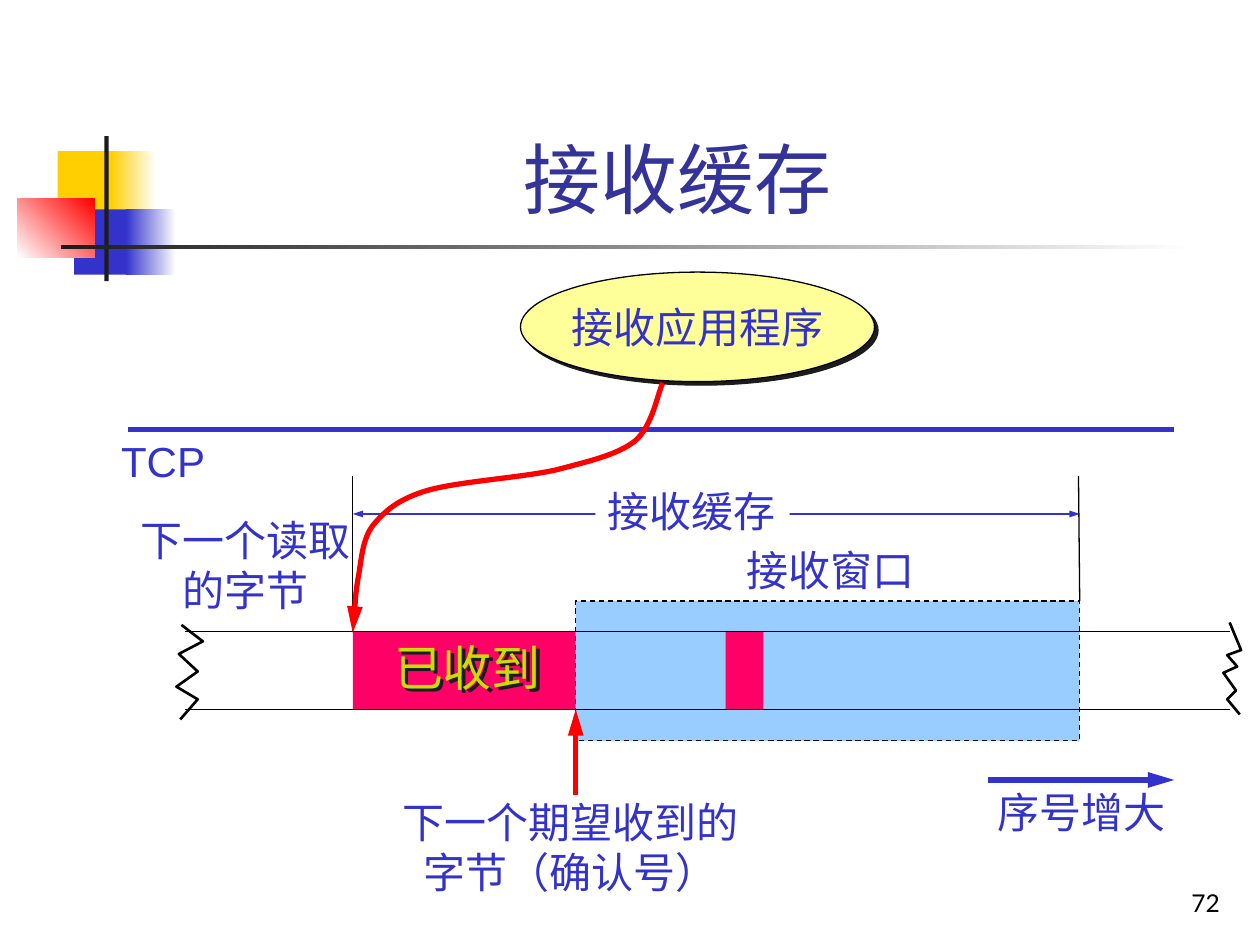
from collections import namedtuple

from lxml import etree
from pptx import Presentation
from pptx.dml.color import RGBColor
from pptx.enum.dml import MSO_LINE
from pptx.enum.shapes import MSO_CONNECTOR, MSO_SHAPE
from pptx.enum.text import MSO_ANCHOR, MSO_AUTO_SIZE, PP_ALIGN
from pptx.oxml.ns import qn
from pptx.util import Pt

RECTANGLE, OVAL = MSO_SHAPE.RECTANGLE, MSO_SHAPE.OVAL
STRAIGHT, DASH = MSO_CONNECTOR.STRAIGHT, MSO_LINE.DASH
LEFT, CENTER, RIGHT = PP_ALIGN.LEFT, PP_ALIGN.CENTER, PP_ALIGN.RIGHT
MIDDLE, BOTTOM = MSO_ANCHOR.MIDDLE, MSO_ANCHOR.BOTTOM
GROW = MSO_AUTO_SIZE.SHAPE_TO_FIT_TEXT

WHITE = RGBColor(0xFF, 0xFF, 0xFF)
BLACK = RGBColor(0, 0, 0)
DARK = RGBColor(0x1C, 0x1C, 0x1C)
BLUE = RGBColor(0x33, 0x33, 0xCC)
TITLE_BLUE = RGBColor(0x33, 0x33, 0x99)
LIGHT_BLUE = RGBColor(0x99, 0xCC, 0xFF)
GOLD = RGBColor(0xFF, 0xCF, 0x01)
PALE_YELLOW = RGBColor(0xFF, 0xFF, 0x99)
LIME = RGBColor(0xC9, 0xDE, 0x06)
RED = RGBColor(0xFF, 0, 0)
PINK = RGBColor(0xFF, 0, 0x66)

Box = namedtuple("Box", "left top width height")


def place(shape, box):
    shape.left, shape.top, shape.width, shape.height = (Pt(length) for length in box)


def write_text(shape, text, color, size=24, align=CENTER, anchor=None, font="Arial", wrap=False):
    frame = shape.text_frame
    frame.text = text
    frame.word_wrap = wrap
    if anchor is not None:
        frame.vertical_anchor = anchor
    for paragraph in frame.paragraphs:
        paragraph.alignment = align
        for run in paragraph.runs:
            run.font.size, run.font.name = Pt(size), font
            run.font.color.rgb = color


def add_label(slide, box, text, color=BLUE, **style):
    label = slide.shapes.add_textbox(*(Pt(length) for length in box))
    write_text(label, text, color, **style)
    if not label.text_frame.word_wrap:
        label.text_frame.auto_size = GROW
    return label


def add_block(slide, box, fill, outline=None, kind=RECTANGLE):
    block = slide.shapes.add_shape(kind, *(Pt(length) for length in box))
    block.shadow.inherit = False
    block.fill.solid()
    block.fill.fore_color.rgb = fill
    if outline is None:
        block.line.fill.background()
    else:
        block.line.color.rgb, block.line.width = outline, Pt(0.75)
    return block


def add_gradient(slide, box, start, end, angle=0):
    fill = add_block(slide, box, start).fill
    fill.gradient()
    fill.gradient_angle = angle
    for stop, position, color in zip(fill.gradient_stops, (0, 1), (start, end)):
        stop.position, stop.color.rgb = position, color


def style_line(shape, color, width, ends=()):
    shape.line.color.rgb, shape.line.width = color, Pt(width)
    shape_of_end = {"len": "lg"} if width > 1 else {"w": "sm"}
    for end in ends:
        etree.SubElement(shape.line._get_or_add_ln(), qn("a:" + end), type="triangle", **shape_of_end)


def add_line(slide, start, end, color=BLACK, width=0.75, ends=()):
    line = slide.shapes.add_connector(STRAIGHT, *(Pt(length) for length in start + end))
    style_line(line, color, width, ends)
    etree.SubElement(line._element.spPr, qn("a:effectLst"))


def add_path(slide, box, points, color, width, ends=(), curved=False):
    """Points are offsets from the box; a curve takes them as Bezier points."""
    places = [(Pt(box.left + x), Pt(box.top + y)) for x, y in points]
    builder = slide.shapes.build_freeform(*places[0])
    builder.add_line_segments(places[1:], close=False)
    path = builder.convert_to_shape()
    path.shadow.inherit = False
    path.fill.background()
    style_line(path, color, width, ends)
    if curved:
        segments = list(path._element.iter(qn("a:lnTo")))
        for first in range(0, len(segments), 3):
            curve = etree.SubElement(segments[first].getparent(), qn("a:cubicBezTo"))
            for segment in segments[first:first + 3]:
                curve.append(segment[0])
                segment.getparent().remove(segment)


def add_shadow(shape, distance=2.8):
    shape.shadow.inherit = False
    effects = shape._element.spPr.find(qn("a:effectLst"))
    shadow = etree.SubElement(effects, qn("a:outerShdw"), dist=str(Pt(distance)),
                              dir="2700000", algn="ctr", rotWithShape="0")
    etree.SubElement(shadow, qn("a:srgbClr"), val=str(DARK))


def draw_ornament(slide, box):
    left, top = box.left, box.top
    # Overlapping squares, the upper two fading to the right
    for x, y, solid, fade_x, fade, color in ((23.2, 8.6, 34.6, 53.3, 26, GOLD),
                                             (32.6, 41.8, 33, 62, 28.8, BLUE)):
        add_block(slide, Box(left + x, top + y, solid, 37.4), color)
        add_gradient(slide, Box(left + fade_x, top + y, fade, 37.4), color, WHITE)
    add_gradient(slide, Box(left, top + 35.8, 44.2, 33.5), WHITE, RED, angle=45)
    # Crossing bars
    add_block(slide, Box(left + 49.8, top, 2.5, box.height), DARK)
    add_gradient(slide, Box(left + 25, top + 62, box.width - 25, 2.5), DARK, WHITE)


def draw_title(slide, box, text):
    title = slide.shapes.title
    place(title, box)
    write_text(title, text, TITLE_BLUE, size=44, anchor=BOTTOM, wrap=True)


def draw_application(slide, box):
    application = add_block(slide, box, PALE_YELLOW, BLACK, OVAL)
    add_shadow(application)
    write_text(application, "接收应用程序", BLUE, anchor=MIDDLE)


def draw_layer_boundary(slide, box):
    add_line(slide, (box.left, box.top), (box.left + box.width, box.top), BLUE, 3)
    add_label(slide, Box(box.left - 11.5, box.top, 62.6, box.height), "TCP")


def draw_buffer(slide, box, expected):
    """The box is the buffer; expected is the offset of the next expected byte."""
    left, top, width, height = box
    right, bottom = left + width, top + height
    # Receive window
    window = add_block(slide, Box(left + expected, top - 17.3, width - expected, 80), LIGHT_BLUE, BLACK)
    window.line.dash_style = DASH
    add_label(slide, Box(left + 217.7, top - 53.3, 114, 36), "接收窗口", align=LEFT)
    # Byte stream and received data
    add_block(slide, Box(left, top, expected, height), PINK)
    add_block(slide, Box(left + 213.1, top, 21.6, height), PINK)
    for y in (top, bottom):
        add_line(slide, (left - 95.8, y), (right + 85.7, y))
    received = add_label(slide, Box(left + 16.5, top, 102, 41), "已收到", LIME, size=28, align=LEFT)
    add_shadow(received)
    # Buffer extent
    add_line(slide, (left, top - 88.6), (left, top))
    add_line(slide, (right - 0.7, top - 88.6), (right, top - 17.3))
    add_line(slide, (left, top - 67), (right, top - 67), BLUE, ends=("headEnd", "tailEnd"))
    extent = add_block(slide, Box(left + 138.6, top - 87.1, 111, 36), WHITE)
    write_text(extent, "接收缓存", BLUE, align=LEFT)
    # Torn ends of the stream
    add_path(slide, Box(left - 100.8, top - 3.6, 15.8, 54),
             [(2.9, 0), (15.1, 9.4), (1.4, 16.6), (12.2, 26.6), (0, 35.3), (12.2, 42.5), (2.2, 54)],
             BLACK, 1.5)
    add_path(slide, Box(right + 82.1, top - 5, 10.1, 52.6),
             [(3.6, 0), (10.1, 15.8), (2.2, 18.7), (7.9, 25.2), (0, 28.8), (7.2, 38.9), (2.2, 43.9), (9.4, 52.6)],
             BLACK, 1.5)


def draw_read_pointer(slide, box):
    points = [(177.1, 0), (174.2, 5.8), (171.4, 24.5), (161.3, 33.1),
              (151.2, 41), (135.4, 44.6), (115.9, 49.7), (96.5, 54), (61.2, 56.2), (43.2, 61.2),
              (25.9, 66.2), (18, 73.4), (11.5, 81.4), (5, 90), (5, 102.2), (2.9, 112.3),
              (1.4, 122.4), (0.7, 136.1), (0, 142.6)]
    add_path(slide, box, points, RED, 3, ends=("tailEnd",), curved=True)
    add_label(slide, Box(box.left - 129, box.top + 71.3, 135, 64.8), "下一个读取\n的字节")


def draw_expected_pointer(slide, box):
    middle = box.left + box.width / 2
    add_line(slide, (middle, box.top + 49), (middle, box.top), RED, 3, ends=("tailEnd",))
    add_label(slide, Box(box.left, box.top + 46, box.width - 6, 64.8), "下一个期望收到的\n字节（确认号）")


def draw_sequence_direction(slide, box):
    add_line(slide, (box.left, box.top), (box.left + box.width, box.top), BLUE, 3, ends=("tailEnd",))
    add_label(slide, Box(box.left - 3.2, box.top, 114, box.height), "序号增大")


def main():
    presentation = Presentation()
    presentation.slide_width, presentation.slide_height = Pt(720), Pt(540)
    slide = presentation.slides.add_slide(presentation.slide_layouts[5])
    draw_ornament(slide, Box(9.8, 77.8, 673, 82.8))
    draw_title(slide, Box(90.7, 16.6, 592.6, 115.2), "接收缓存")
    draw_application(slide, Box(297.4, 155.5, 202.3, 62.6))
    draw_layer_boundary(slide, Box(73.4, 245.5, 597.6, 36))
    draw_buffer(slide, Box(201.6, 360.7, 415.4, 44.7), expected=127.4)
    draw_read_pointer(slide, Box(201.6, 218.9, 177.1, 142.6))
    draw_expected_pointer(slide, Box(222.3, 405.4, 213.4, 111))
    draw_sequence_direction(slide, Box(564.5, 445.7, 106.5, 36))
    # Page number
    add_label(slide, Box(554.4, 491.8, 149.8, 36), "72", BLACK, size=14,
              align=RIGHT, anchor=BOTTOM, font="Lato", wrap=True)
    presentation.save("out.pptx")


if __name__ == "__main__":
    main()
